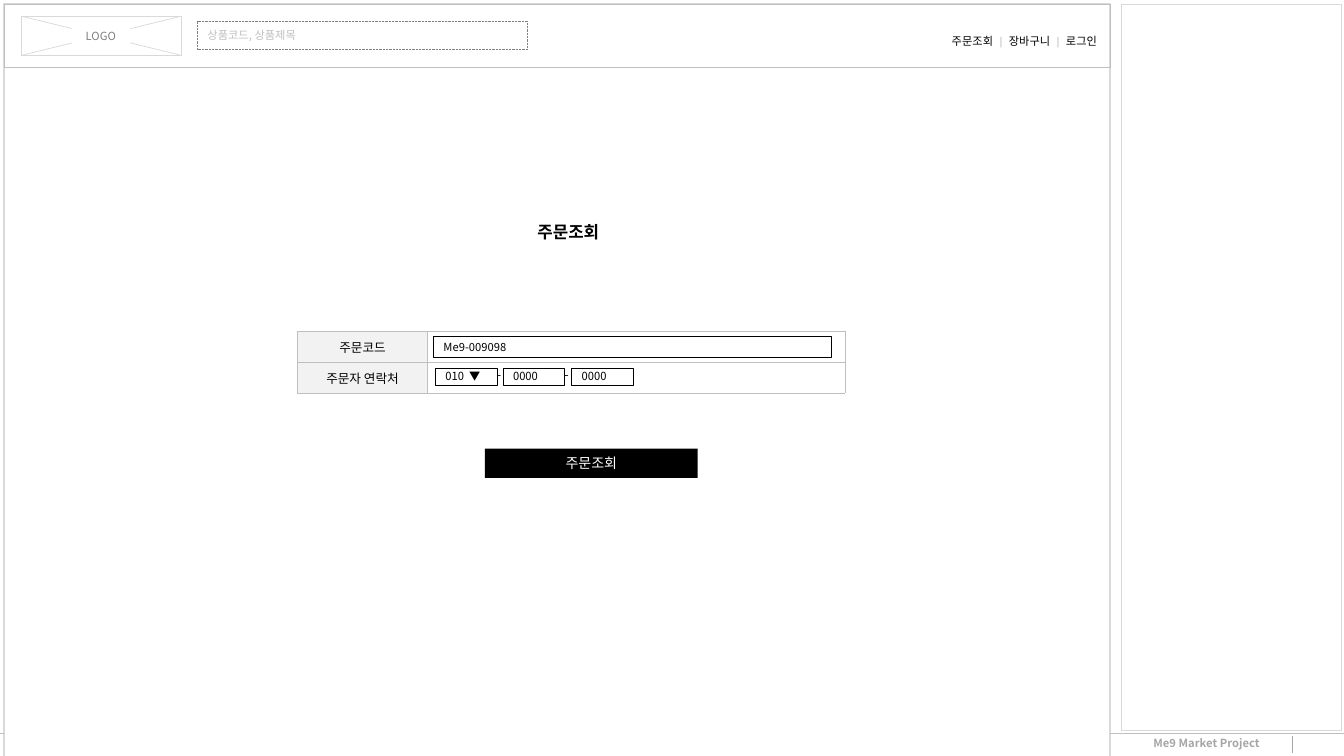
from lxml.etree import SubElement
from pptx import Presentation
from pptx.dml.color import RGBColor
from pptx.enum.dml import MSO_LINE
from pptx.enum.shapes import MSO_CONNECTOR as Connector, MSO_SHAPE as Shape
from pptx.enum.text import MSO_ANCHOR as Anchor, MSO_AUTO_SIZE as AutoSize, PP_ALIGN as Align
from pptx.oxml.ns import qn
from pptx.util import Inches, Pt

COLORS = {"black": "000000", "white": "FFFFFF", "dark": "808080", "footer": "A6A6A6",
          "gray": "BFBFBF", "light": "D9D9D9", "header": "F2F2F2"}
RGB = {name: RGBColor.from_string(value) for name, value in COLORS.items()}
FONT = "Noto Sans CJK KR"

presentation = Presentation()
presentation.slide_width, presentation.slide_height = Inches(13.33), Inches(7.5)
slide = presentation.slides.add_slide(presentation.slide_layouts[5])
shapes = slide.shapes

# Grid of 1333 columns by 750 rows; every place below is counted in its cells
COLUMN = presentation.slide_width // 1333
ROW = presentation.slide_height // 750


def write(frame, text, size=8, color="black", font=FONT, bold=False, align=Align.LEFT,
          anchor=Anchor.MIDDLE, spacing=1.0, wrap=True):
    """Fill a text frame with one paragraph; text is a string or (text, color) runs."""
    frame.word_wrap, frame.vertical_anchor = wrap, anchor
    frame.auto_size = AutoSize.NONE
    paragraph = frame.paragraphs[0]
    paragraph.alignment, paragraph.line_spacing = align, spacing
    for words, run_color in [(text, color)] if isinstance(text, str) else text:
        run = paragraph.add_run()
        run.text = words
        run.font.size, run.font.bold, run.font.name = Pt(size), bold, font
        run.font.color.rgb = RGB[run_color]
        SubElement(run.font._element, qn("a:ea"), typeface=font)


def add_box(left, top, width, height, fill=None, line=None, weight=0.5):
    box = shapes.add_shape(Shape.RECTANGLE, left * COLUMN, top * ROW,
                           width * COLUMN, height * ROW)
    box.shadow.inherit = False
    for part, color in ((box.fill, fill), (box.line.fill, line)):
        if color:
            part.solid()
            part.fore_color.rgb = RGB[color]
        else:
            part.background()
    if line:
        box.line.width = Pt(weight)
    return box


# Page frame: footer label, content area, notes panel and top bar
footer = shapes.add_textbox(1134 * COLUMN, 726 * ROW, 140 * COLUMN, 24 * ROW)
write(footer.text_frame, "Me9 Market Project", color="footer", bold=True, anchor=Anchor.TOP)
add_box(4, 4, 1097, 825, fill="white", line="light", weight=1)
add_box(1112, 4, 218, 720, line="light", weight=0.25)
add_box(4, 4, 1097, 63, line="gray", weight=0.25)
add_box(21, 16, 159, 39, fill="white", line="light")

# Footer rules and the diagonals of the logo area
for x1, y1, x2, y2, color, weight in (
        (0, 727, 4, 727, "gray", 0.25),
        (1101, 727, 1333, 727, "gray", 0.25),
        (1282, 730, 1282, 747, "footer", 0.25),
        (21, 55, 180, 16, "light", 0.5),
        (21, 16, 180, 55, "light", 0.5)):
    rule = shapes.add_connector(Connector.STRAIGHT, x1 * COLUMN, y1 * ROW,
                                x2 * COLUMN, y2 * ROW)
    rule.line.color.rgb, rule.line.width = RGB[color], Pt(weight)
    SubElement(rule._element.spPr, qn("a:effectLst"))

# Top bar: logo label, menu and search field
logo = add_box(71, 24, 58, 24, fill="white")
write(logo.text_frame, "LOGO", color="dark", align=Align.CENTER, anchor=Anchor.TOP)
menu = shapes.add_textbox(917 * COLUMN, 22 * ROW, 181 * COLUMN, 28 * ROW)
write(menu.text_frame,
      [("주문조회  ", "black"), ("|  ", "gray"), ("장바구니  ", "black"),
       ("|  ", "gray"), ("로그인", "black")],
      font="Arial", align=Align.RIGHT, anchor=Anchor.TOP, spacing=1.5, wrap=False)
search = add_box(196, 21, 327, 28, fill="white", line="dark")
search.line.dash_style = MSO_LINE.ROUND_DOT
write(search.text_frame, "상품코드, 상품제목", color="gray")

# Title, raised above the content area
title = shapes.title
title.left, title.top, title.width, title.height = (
    523 * COLUMN, 215 * ROW, 88 * COLUMN, 30 * ROW)
write(title.text_frame, "주문조회", size=12, bold=True, anchor=Anchor.TOP, wrap=False)
title.element.getparent().append(title.element)

# Order form table; the empty cells get a small text size so the rows keep their height
table = shapes.add_table(2, 2, 295 * COLUMN, 329 * ROW, 543 * COLUMN, 61 * ROW).table
table.first_row = table.horz_banding = False
table.columns[0].width, table.columns[1].width = 129 * COLUMN, 414 * COLUMN
for row, label in enumerate(("주문코드", "주문자 연락처")):
    write(table.cell(row, 0).text_frame, label, size=9, align=Align.CENTER)
    empty_paragraph = table.cell(row, 1).text_frame.paragraphs[0]
    SubElement(empty_paragraph._p, qn("a:endParaRPr"), sz="900")
    for column, fill in enumerate(("header", "white")):
        cell = table.cell(row, column)
        cell.vertical_anchor = Anchor.MIDDLE
        cell.margin_top = cell.margin_bottom = 2 * ROW
        properties = cell._tc.get_or_add_tcPr()
        for side in ("lnL", "lnR", "lnT", "lnB"):
            border = SubElement(properties, qn(f"a:{side}"), w=str(Pt(0.5)))
            solid = SubElement(border, qn("a:solidFill"))
            SubElement(solid, qn("a:srgbClr"), val=COLORS["gray"])
        cell.fill.solid()
        cell.fill.fore_color.rgb = RGB[fill]

# Submit button and order code field
button = add_box(481, 445, 211, 29, fill="black")
write(button.text_frame, "주문조회", size=10, color="white", align=Align.CENTER)
order_code = add_box(430, 334, 395, 21, line="black")
write(order_code.text_frame, "Me9-009098")

# Phone number: three equal fields joined by dashes
PHONE_LEFT, PHONE_STEP = 432, 67.5
for index, digits in enumerate(("010  ▼", "0000", "0000")):
    left = PHONE_LEFT + index * PHONE_STEP
    phone = add_box(int(left), 365, 61, 17, line="black")
    write(phone.text_frame, digits)
    if index < 2:
        dash = shapes.add_textbox(int(left + 51) * COLUMN, 359 * ROW, 25 * COLUMN, 25 * ROW)
        write(dash.text_frame, "-", size=9, anchor=Anchor.TOP, wrap=False)

presentation.save("out.pptx")
